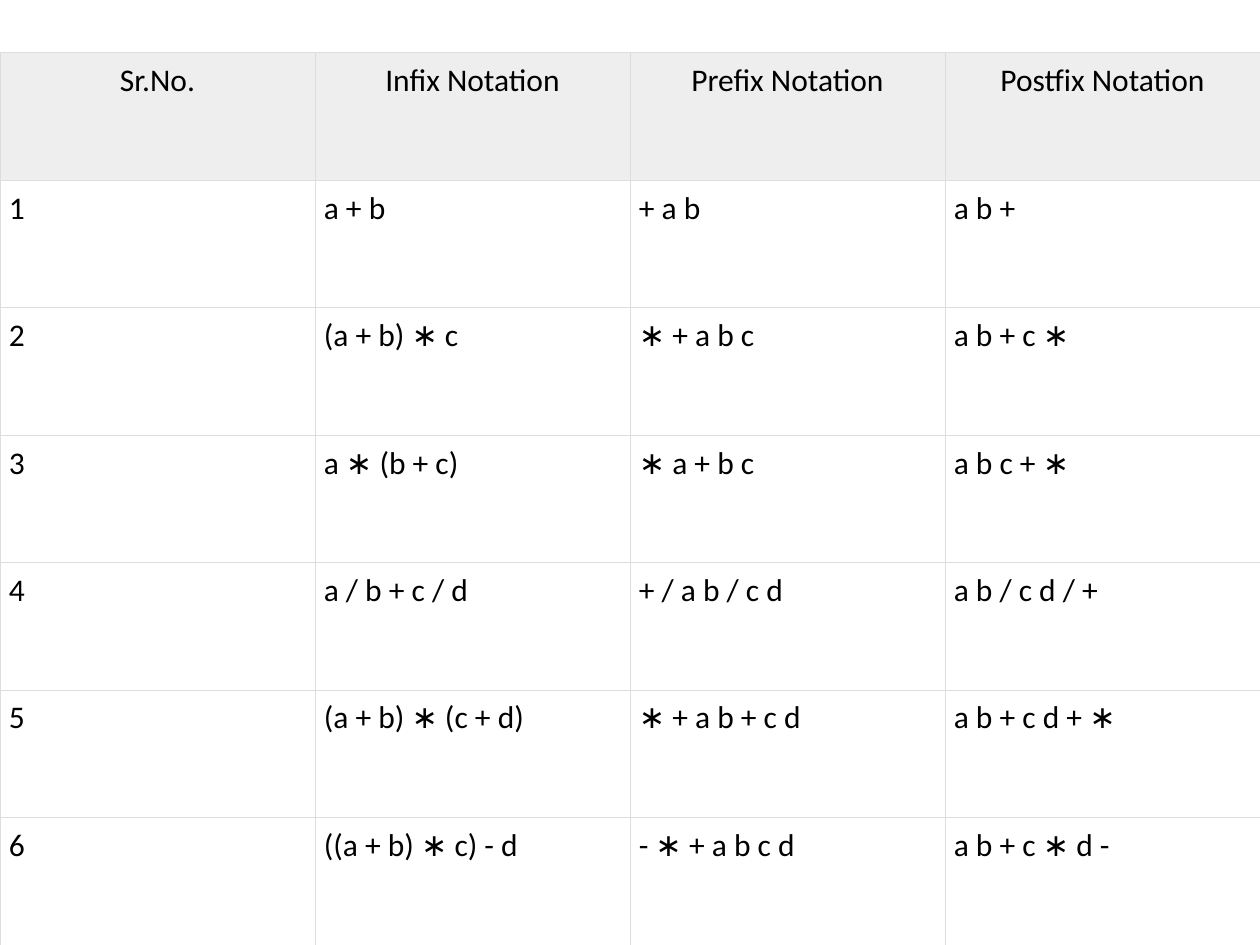
from dataclasses import dataclass

from lxml.etree import SubElement
from pptx import Presentation
from pptx.dml.color import RGBColor
from pptx.enum.text import MSO_ANCHOR as Anchor, PP_ALIGN as Align
from pptx.oxml.ns import qn
from pptx.util import Emu, Pt

EMU_PER_PX = 9144  # 100 px to the inch


@dataclass(frozen=True)
class Theme:
    font: str = "Calibri"
    size: Pt = Pt(18)
    text: RGBColor = RGBColor(0, 0, 0)
    header: RGBColor = RGBColor(0xEE, 0xEE, 0xEE)
    border: str = "DDDDDD"
    border_width: Pt = Pt(0.6)


@dataclass(frozen=True)
class Notation:
    infix: str
    prefix: str
    postfix: str


THEME = Theme()
HEADINGS = ("Sr.No.", "Infix Notation", "Prefix Notation", "Postfix Notation")
NOTATIONS = (
    Notation("a + b", "+ a b", "a b +"),
    Notation("(a + b) ∗ c", "∗ + a b c", "a b + c ∗"),
    Notation("a ∗ (b + c)", "∗ a + b c", "a b c + ∗"),
    Notation("a / b + c / d", "+ / a b / c d", "a b / c d / +"),
    Notation("(a + b) ∗ (c + d)", "∗ + a b + c d", "a b + c d + ∗"),
    Notation("((a + b) ∗ c) - d", "- ∗ + a b c d", "a b + c ∗ d -"),
)


def px(length: int) -> Emu:
    return Emu(length * EMU_PER_PX)


def set_all(target, values: dict) -> None:
    for name, value in values.items():
        setattr(target, name, value)


def draw_borders(cell) -> None:
    """Line all four sides; the lines must stand before the fill in tcPr."""
    properties = cell._tc.get_or_add_tcPr()
    for index, side in enumerate(("a:lnL", "a:lnR", "a:lnT", "a:lnB")):
        line = SubElement(properties, qn(side), w=str(int(THEME.border_width)))
        fill = SubElement(line, qn("a:solidFill"))
        SubElement(fill, qn("a:srgbClr"), val=THEME.border)
        properties.insert(index, line)


def fill_cell(cell, text: str, is_header: bool) -> None:
    margins = dict.fromkeys(
        ("margin_left", "margin_right", "margin_top", "margin_bottom"), px(7))
    set_all(cell, {**margins, "vertical_anchor": Anchor.TOP})
    para = cell.text_frame.paragraphs[0]
    para.alignment = Align.CENTER if is_header else Align.LEFT
    span = para.add_run()
    span.text = text
    set_all(span.font, {"name": THEME.font, "size": THEME.size, "bold": False})
    span.font.color.rgb = THEME.text
    if is_header:
        cell.fill.solid()
        cell.fill.fore_color.rgb = THEME.header
    else:
        cell.fill.background()
    draw_borders(cell)


def add_notation_table(page, left: int, top: int, width: int, height: int) -> None:
    rows = [HEADINGS] + [
        (str(number), item.infix, item.prefix, item.postfix)
        for number, item in enumerate(NOTATIONS, start=1)
    ]
    table = page.shapes.add_table(
        len(rows), len(HEADINGS), px(left), px(top), px(width), px(height)).table
    set_all(table, {"first_row": True, "horz_banding": False})
    for row_index, texts in enumerate(rows):
        for column_index, text in enumerate(texts):
            fill_cell(table.cell(row_index, column_index), text, row_index == 0)


def main() -> None:
    deck = Presentation()
    set_all(deck, {"slide_width": px(1000), "slide_height": px(750)})
    page = deck.slides.add_slide(deck.slide_layouts[6])
    add_notation_table(page, left=0, top=42, width=1000, height=708)
    deck.save("out.pptx")


if __name__ == "__main__":
    main()
